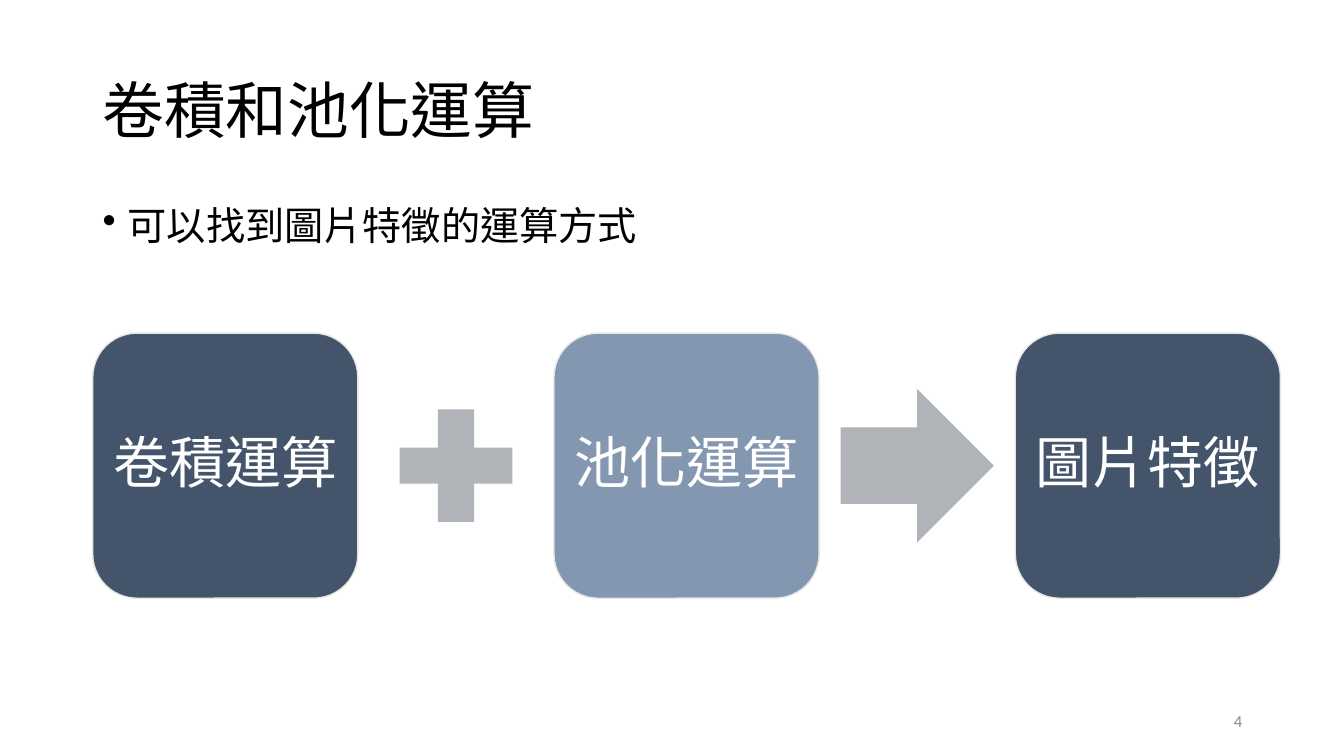
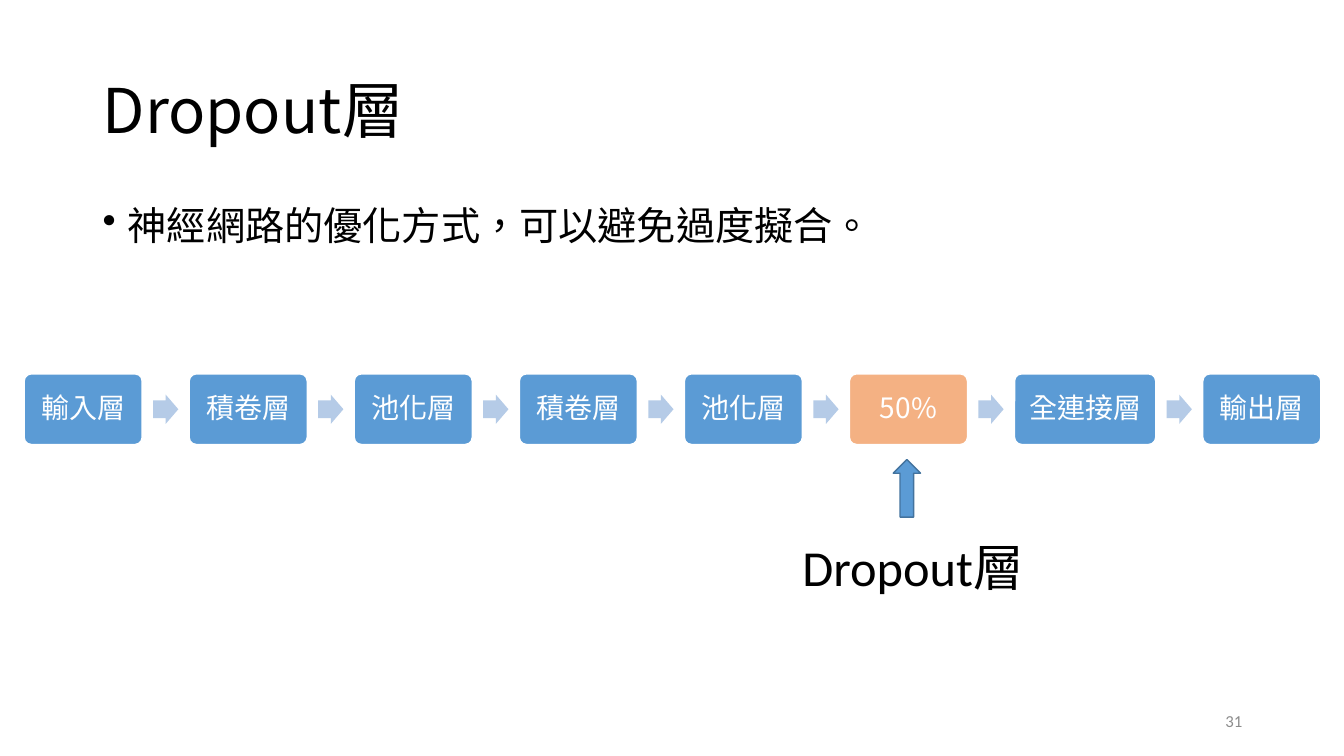
from lxml.etree import SubElement
from pptx import Presentation
from pptx.dml.color import RGBColor
from pptx.enum.lang import MSO_LANGUAGE_ID as LANG
from pptx.enum.shapes import MSO_SHAPE as SHAPE
from pptx.enum.text import MSO_ANCHOR as ANCHOR, PP_ALIGN as ALIGN
from pptx.oxml.ns import qn
from pptx.util import Inches, Pt

BLACK = RGBColor(0x00, 0x00, 0x00)
WHITE = RGBColor(0xFF, 0xFF, 0xFF)
GREY = RGBColor(0x8C, 0x8C, 0x8C)
SLATE = RGBColor(0x44, 0x54, 0x6A)
PALE_SLATE = RGBColor(0x84, 0x97, 0xB0)
SILVER = RGBColor(0xB0, 0xB4, 0xB9)
LIGHT_GREY = RGBColor(0xE7, 0xE6, 0xE6)
BLUE = RGBColor(0x5B, 0x9B, 0xD5)
PALE_BLUE = RGBColor(0xB5, 0xCB, 0xE7)
DARK_BLUE = RGBColor(0x43, 0x73, 0x9E)
ORANGE = RGBColor(0xF4, 0xB1, 0x83)

CJK = "Noto Sans CJK SC"
LATIN = "Calibri"


def apply(target, values):
    for name, value in values.items():
        setattr(target, name, value)


class Deck:
    def __init__(self):
        self.prs = Presentation()
        apply(self.prs, {"slide_width": Inches(13.33), "slide_height": Inches(7.5)})
        self.slide = None

    def new_slide(self, title, statement, number, font=CJK):
        self.slide = self.prs.slides.add_slide(self.prs.slide_layouts[6])
        self.text((0.92, 0.4, 11.5, 1.45), title, 44, spacing=0.9, anchor=ANCHOR.MIDDLE)
        self.bullet((0.92, 2, 11.5, 4.76), statement, 28, font)
        self.text((9.42, 6.95, 3, 0.4), number, 12, LATIN, GREY,
                  align=ALIGN.RIGHT, anchor=ANCHOR.MIDDLE)

    def fill_frame(self, frame, words, size, font, color, spacing, align, anchor):
        apply(frame, {"word_wrap": True, "vertical_anchor": anchor})
        paragraph = frame.paragraphs[0]
        apply(paragraph, {"alignment": align, "line_spacing": spacing})
        run = paragraph.add_run()
        run.text = words
        apply(run.font, {"size": Pt(size), "name": font,
                         "language_id": LANG.TRADITIONAL_CHINESE})
        run.font.color.rgb = color
        east_asian = SubElement(run._r.get_or_add_rPr(), qn("a:ea"))
        east_asian.set("typeface", CJK)
        return paragraph

    def text(self, at, words, size, font=CJK, color=BLACK, spacing=1.0,
             align=ALIGN.LEFT, anchor=ANCHOR.TOP):
        frame = self.slide.shapes.add_textbox(*map(Inches, at)).text_frame
        return self.fill_frame(frame, words, size, font, color, spacing, align, anchor)

    def bullet(self, at, words, size, font):
        properties = self.text(at, words, size, font, spacing=0.9)._p.get_or_add_pPr()
        properties.set("marL", str(Inches(0.25)))
        properties.set("indent", str(Inches(-0.25)))
        SubElement(properties, qn("a:buChar")).set("char", "•")

    def shape(self, kind, at, fill, line=None, adjustments=()):
        shape = self.slide.shapes.add_shape(kind, *map(Inches, at))
        shape.shadow.inherit = False
        shape.fill.solid()
        shape.fill.fore_color.rgb = fill
        if line is None:
            shape.line.fill.background()
        else:
            shape.line.color.rgb = line
            shape.line.width = Pt(1)
        for index, value in enumerate(adjustments):
            shape.adjustments[index] = value
        return shape

    def box(self, at, words, size, fill, line, inset, rounding):
        frame = self.shape(SHAPE.ROUNDED_RECTANGLE, at, fill, line, rounding).text_frame
        sides = ("left", "top", "right", "bottom")
        apply(frame, {f"margin_{side}": Inches(inset) for side in sides})
        self.fill_frame(frame, words, size, CJK, WHITE, 0.9, ALIGN.CENTER, ANCHOR.MIDDLE)

    def flow(self, left, right, middle, steps, links, height, link_size, link_fill,
             link_adjustments=(), **box_style):
        link_width, link_height = link_size
        used = sum(width for _, width, _ in steps) + len(links) * link_width
        gap = (right - left - used) / (2 * len(links))
        for index, (words, width, fill) in enumerate(steps):
            self.box((left, middle - height / 2, width, height), words,
                     fill=fill, **box_style)
            left += width + gap
            if index < len(links):
                self.shape(links[index],
                           (left, middle - link_height / 2, link_width, link_height),
                           link_fill, adjustments=link_adjustments)
                left += link_width + gap


def main():
    deck = Deck()

    deck.new_slide("卷積和池化運算", "可以找到圖片特徵的運算方式", "4")
    side = 2.63
    operations = [("卷積運算", side, SLATE), ("池化運算", side, PALE_SLATE),
                  ("圖片特徵", side, SLATE)]
    deck.flow(0.92, 12.7, 4.62, operations, [SHAPE.MATH_PLUS, SHAPE.RIGHT_ARROW],
              side, (1.52, 1.52), SILVER,
              size=40, line=LIGHT_GREY, inset=0.06, rounding=())

    deck.new_slide("Dropout層", "神經網路的優化方式，可以避免過度擬合。", "31", LATIN)
    names = ["輸入層", "積卷層", "池化層", "積卷層", "池化層", "50%", "全連接層", "輸出層"]
    layers = [(name, 1.4 if len(name) > 3 else 1.17, ORANGE if name == "50%" else BLUE)
              for name in names]
    deck.flow(0.24, 13.1, 4.06, layers, [SHAPE.RIGHT_ARROW] * (len(layers) - 1),
              0.7, (0.25, 0.29), PALE_BLUE, (0.6, 0.5),
              size=20, line=WHITE, inset=0.08, rounding=(0.1,))
    deck.text((7.86, 5.27, 2.78, 0.71), "Dropout層", 36, LATIN)
    deck.shape(SHAPE.UP_ARROW, (8.86, 4.56, 0.27, 0.57), BLUE, DARK_BLUE)

    deck.prs.save("out.pptx")


if __name__ == "__main__":
    main()
